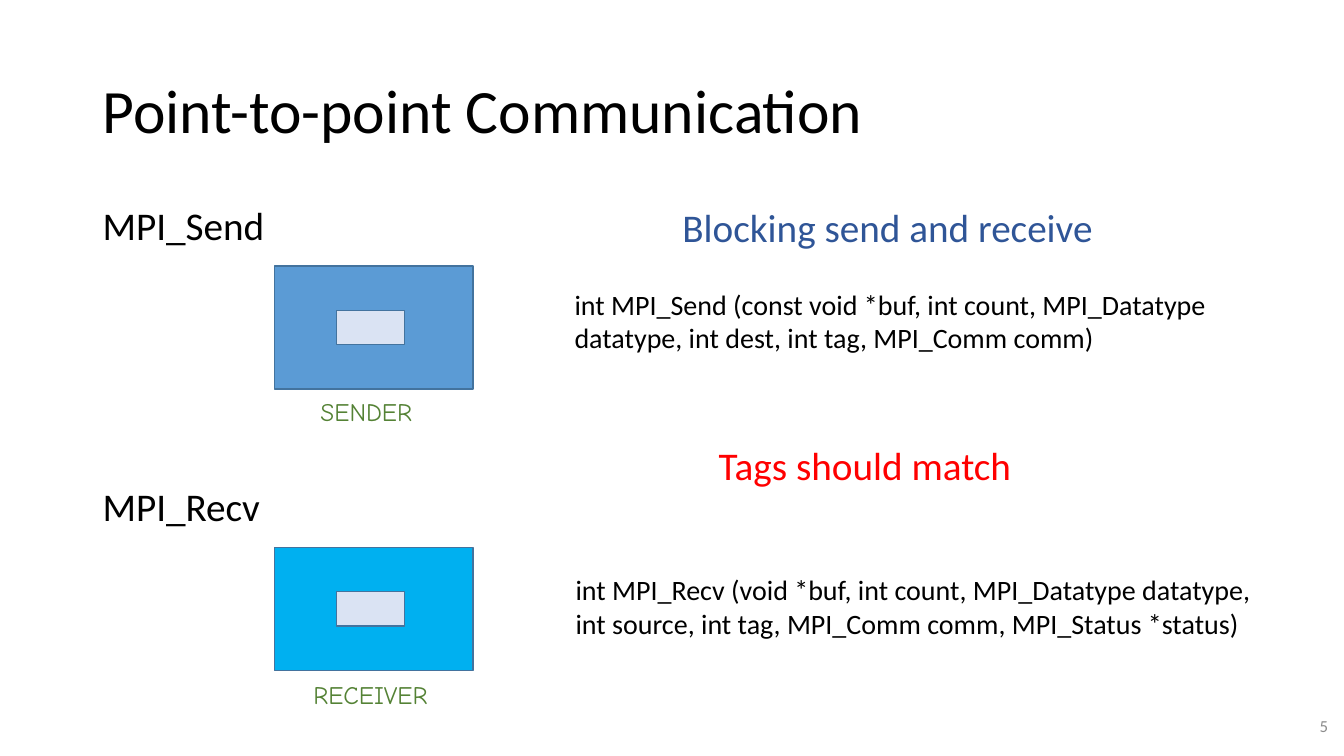
from pptx import Presentation
from pptx.dml.color import RGBColor
from pptx.enum.shapes import MSO_SHAPE
from pptx.enum.text import MSO_ANCHOR, PP_ALIGN
from pptx.util import Inches, Pt

RECTANGLE = MSO_SHAPE.RECTANGLE
TOP, MIDDLE = MSO_ANCHOR.TOP, MSO_ANCHOR.MIDDLE
LEFT, RIGHT = PP_ALIGN.LEFT, PP_ALIGN.RIGHT

COLORS = {
    "text": "000000",
    "sender": "5B9BD5",
    "receiver": "00B0F0",
    "buffer": "DAE3F3",
    "outline": "43739E",
    "role": "548235",
    "blocking": "2F5597",
    "tags": "FF0000",
    "number": "8C8C8C",
}


def color(name):
    return RGBColor.from_string(COLORS[name])


def add_text(slide, box, text, size, color_name="text", font="Calibri",
             anchor=TOP, align=LEFT, wrap=True, spacing=1.0):
    frame = slide.shapes.add_textbox(*map(Inches, box)).text_frame
    frame.word_wrap = wrap
    frame.vertical_anchor = anchor
    frame.text = text
    paragraph = frame.paragraphs[0]
    paragraph.alignment = align
    paragraph.line_spacing = spacing
    run_font = paragraph.runs[0].font
    run_font.name = font
    run_font.size = Pt(size)
    run_font.color.rgb = color(color_name)


def add_block(slide, box, fill_name):
    block = slide.shapes.add_shape(RECTANGLE, *map(Inches, box))
    block.shadow.inherit = False
    block.fill.solid()
    block.fill.fore_color.rgb = color(fill_name)
    block.line.color.rgb = color("outline")
    block.line.width = Pt(1)


def add_process(slide, box, fill_name):
    """A process with its message buffer inside."""
    left, top, width, height = box
    add_block(slide, box, fill_name)
    add_block(slide, (left + 0.62, top + 0.44, 0.67, 0.34), fill_name="buffer")


def add_operation(slide, box, call, fill_name, role, role_box, signature, signature_box):
    """One MPI call: heading, process with role label, and signature."""
    left, top, width, height = box
    add_text(slide, (left, top, width, 0.55), call, 28, spacing=0.9)
    add_process(slide, (left + 1.8, top + 0.64, 1.97, 1.22), fill_name)
    dx, dy, role_width = role_box
    add_text(slide, (left + dx, top + dy, role_width, 0.4), role, 18, "role",
             font="Comic Neue", wrap=False)
    dx, dy, signature_width = signature_box
    add_text(slide, (left + dx, top + dy, signature_width, 0.78), signature, 20)


def main():
    deck = Presentation()
    deck.slide_width, deck.slide_height = Inches(13.33), Inches(7.5)
    slide = deck.slides.add_slide(deck.slide_layouts[6])

    # Title
    add_text(slide, (0.92, 0.4, 11.5, 1.45), "Point-to-point Communication", 44,
             anchor=MIDDLE, spacing=0.9)

    # Send and receive operations
    add_operation(
        slide, (0.92, 2, 11.5, 2.3), "MPI_Send", "sender",
        "SENDER", (2.16, 1.88, 1.23),
        "int MPI_Send (const void *buf, int count, MPI_Datatype datatype, "
        "int dest, int tag, MPI_Comm comm)", (4.68, 0.8, 6.73))
    add_operation(
        slide, (0.92, 4.79, 11.5, 2.3), "MPI_Recv", "receiver",
        "RECEIVER", (2.09, 1.9, 1.45),
        "int MPI_Recv (void *buf, int count, MPI_Datatype datatype, "
        "int source, int tag, MPI_Comm comm, MPI_Status *status)", (4.69, 0.84, 7))

    # Key remarks
    add_text(slide, (6.67, 1.97, 4.31, 0.57), "Blocking send and receive", 28,
             "blocking", wrap=False)
    add_text(slide, (7.03, 4.33, 3.14, 0.57), "Tags should match", 28, "tags", wrap=False)

    # Slide number
    add_text(slide, (10.27, 7, 3, 0.4), "5", 12, "number", anchor=MIDDLE, align=RIGHT)

    deck.save("out.pptx")


if __name__ == "__main__":
    main()
